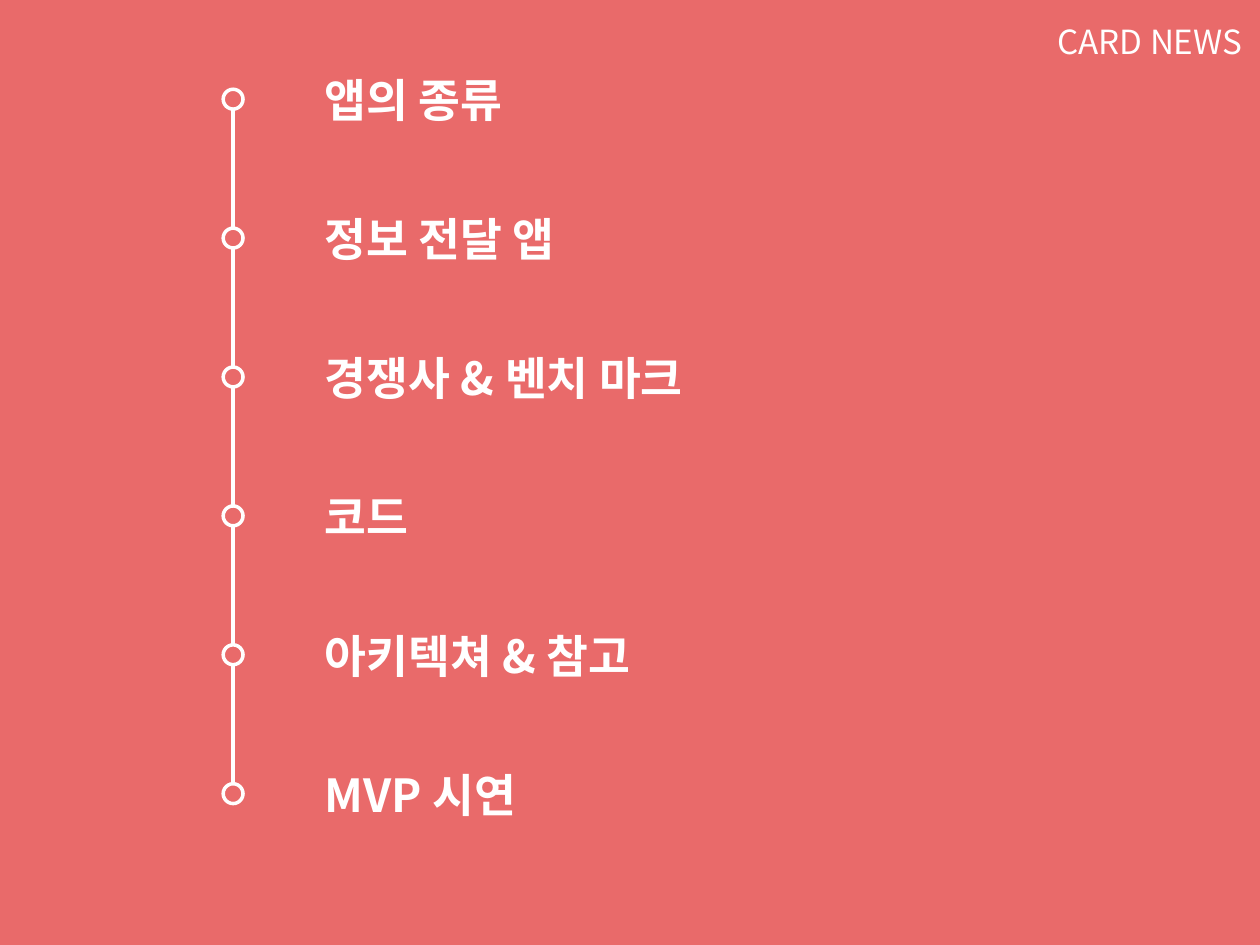
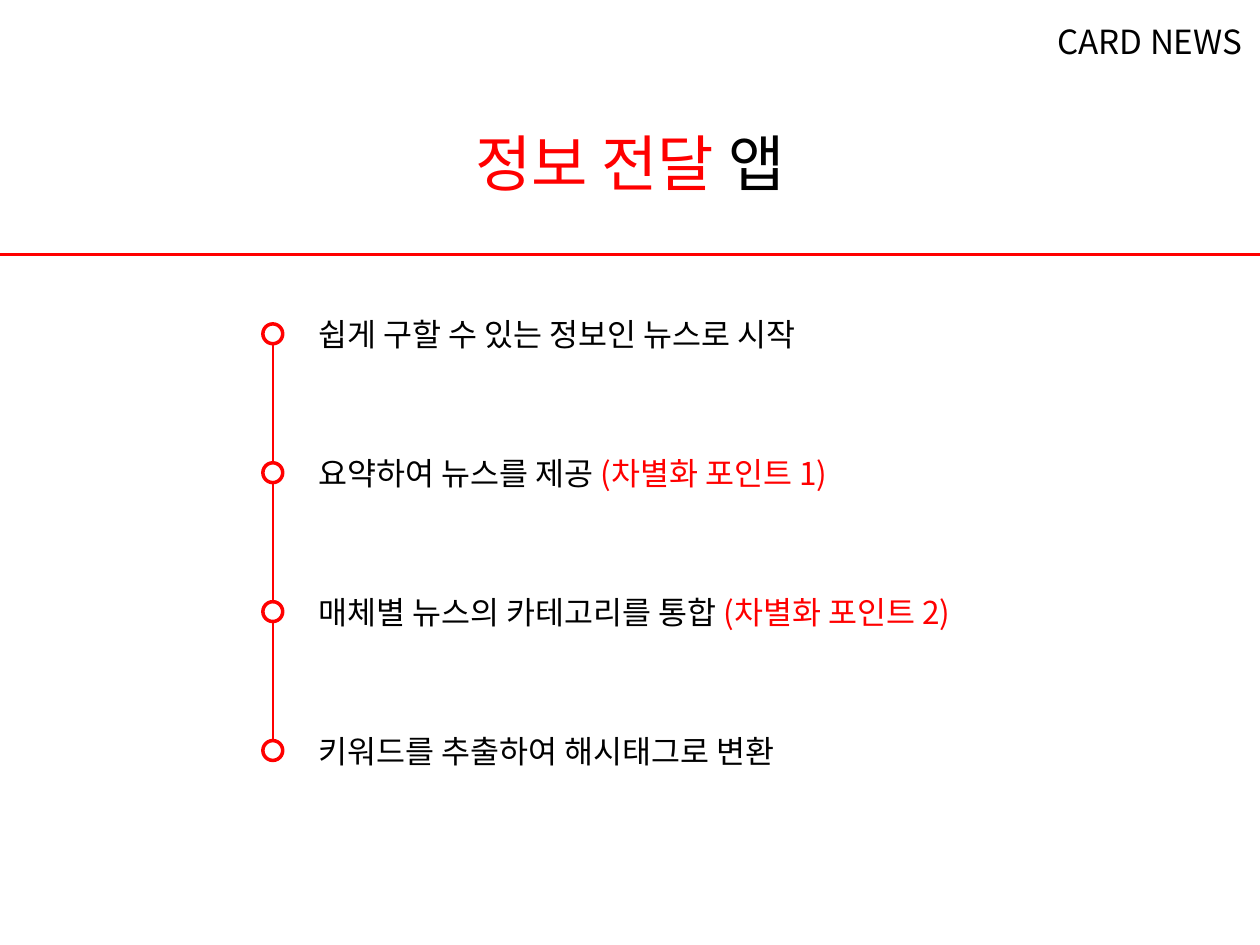
from dataclasses import dataclass

from lxml import etree
from pptx import Presentation
from pptx.dml.color import RGBColor
from pptx.enum.shapes import MSO_CONNECTOR, MSO_SHAPE
from pptx.enum.text import MSO_AUTO_SIZE, PP_ALIGN
from pptx.oxml.ns import qn
from pptx.util import Cm, Pt

LEFT, CENTER = PP_ALIGN.LEFT, PP_ALIGN.CENTER
FIT = MSO_AUTO_SIZE.SHAPE_TO_FIT_TEXT
RECT, OVAL = MSO_SHAPE.RECTANGLE, MSO_SHAPE.OVAL
STRAIGHT = MSO_CONNECTOR.STRAIGHT


@dataclass(frozen=True)
class Theme:
    font: str = "Noto Sans CJK KR"
    white: str = "FFFFFF"
    black: str = "000000"
    red: str = "FF0000"
    coral: str = "E96A6A"
    tag: int = 19
    title: int = 35
    topic: int = 26
    point: int = 18
    thick: int = 2
    thin: int = 1


WIDE, HIGH = 25.4, 19.05
DOT, STEP = 0.4, 2.8


class Deck:
    def __init__(self, theme):
        self.theme = theme
        self.prs = Presentation()
        self.prs.slide_width, self.prs.slide_height = Cm(WIDE), Cm(HIGH)

    def page(self, ink, back=None):
        """Start a slide with its corner tag, on a full colour if one is given."""
        self.slide = self.prs.slides.add_slide(self.prs.slide_layouts[6])
        if back:
            self.shape(RECT, 0, 0, WIDE, HIGH, fill=back)
        self.text(20.68, 0.3, 5, 1.04, [("CARD NEWS", ink)], self.theme.tag, align=CENTER)

    def shape(self, kind, x, y, w, h, fill=None, line=None):
        item = self.slide.shapes.add_shape(kind, Cm(x), Cm(y), Cm(w), Cm(h))
        item.shadow.inherit = False
        if fill:
            item.fill.solid()
            item.fill.fore_color.rgb = RGBColor.from_string(fill)
        else:
            item.fill.background()
        if line:
            item.line.color.rgb = RGBColor.from_string(line)
            item.line.width = Pt(self.theme.thick)
        else:
            item.line.fill.background()

    def line(self, x1, y1, x2, y2, color, width):
        item = self.slide.shapes.add_connector(STRAIGHT, Cm(x1), Cm(y1), Cm(x2), Cm(y2))
        item.line.color.rgb = RGBColor.from_string(color)
        item.line.width = Pt(width)
        etree.SubElement(item._element.spPr, qn("a:effectLst"))

    def text(self, x, y, w, h, parts, size, bold=False, align=LEFT):
        """Write one paragraph from (words, colour) parts."""
        frame = self.slide.shapes.add_textbox(Cm(x), Cm(y), Cm(w), Cm(h)).text_frame
        frame.word_wrap = True
        frame.auto_size = FIT
        para = frame.paragraphs[0]
        para.alignment = align
        for words, color in parts:
            run = para.add_run()
            run.text = words
            font = run.font
            font.name, font.size, font.bold = self.theme.font, Pt(size), bold
            font.color.rgb = RGBColor.from_string(color)
            asian = etree.SubElement(run._r.get_or_add_rPr(), qn("a:ea"))
            asian.set("typeface", self.theme.font)

    def track(self, x, y, count, color, width):
        """Draw rings centred on x, one step apart, joined by lines."""
        half = DOT / 2
        for i in range(count):
            mid = y + i * STEP
            self.shape(OVAL, x - half, mid - half, DOT, DOT, line=color)
            if i < count - 1:
                self.line(x, mid + half, x, mid + STEP - half, color, width)


def agenda(deck):
    look = deck.theme
    topics = [("앱의 종류", 6.4), ("정보 전달 앱", 6.4), ("경쟁사 & 벤치 마크", 9.2),
              ("코드", 6.4), ("아키텍쳐 & 참고", 8.4), ("MVP 시연", 8.4)]
    top = 2
    deck.page(look.white, look.coral)
    deck.track(4.7, top, len(topics), look.white, look.thick)
    for i, (words, wide) in enumerate(topics):
        deck.text(6.3, top - 0.67 + i * STEP, wide, 1.35,
                  [(words, look.white)], look.topic, bold=True)


def points(deck):
    look = deck.theme
    rows = [("쉽게 구할 수 있는 정보인 뉴스로 시작", "", 13.06),
            ("요약하여 뉴스를 제공 ", "(차별화 포인트 1)", 15.5),
            ("매체별 뉴스의 카테고리를 통합 ", "(차별화 포인트 2)", 15.5),
            ("키워드를 추출하여 해시태그로 변환", "", 13.06)]
    top = 6.73
    deck.page(look.black)
    deck.line(0, 5.13, WIDE, 5.13, look.red, look.thick)
    deck.text(7.9, 2.41, 9.6, 1.73,
              [("정보 전달", look.red), (" 앱", look.black)], look.title, align=CENTER)
    deck.track(5.5, top, len(rows), look.red, look.thin)
    for i, (words, mark, wide) in enumerate(rows):
        parts = [(words, look.black)]
        if mark:
            parts.append((mark, look.red))
        deck.text(6.17, top - 0.5 + i * STEP, wide, 1, parts, look.point)


def main():
    deck = Deck(Theme())
    agenda(deck)
    points(deck)
    deck.prs.save("out.pptx")


if __name__ == "__main__":
    main()
